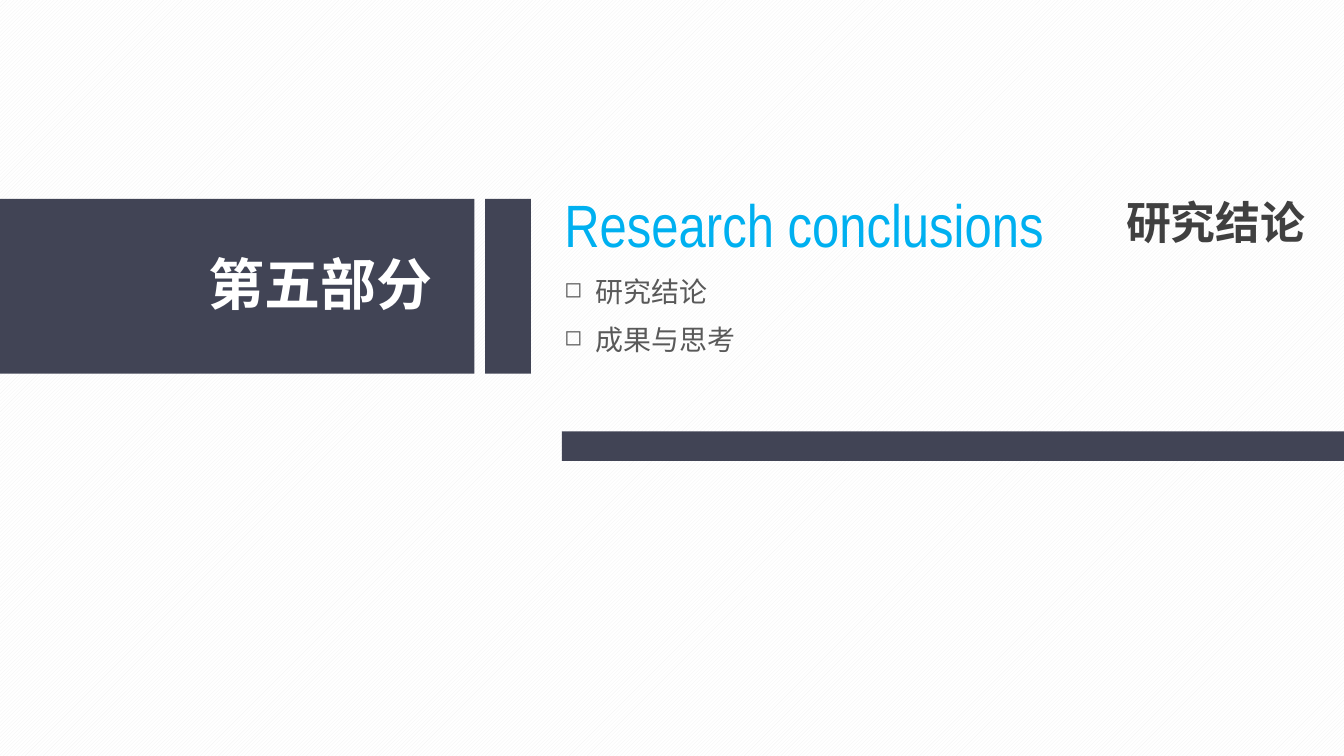
from dataclasses import dataclass

from lxml import etree
from pptx import Presentation
from pptx.dml.color import RGBColor
from pptx.enum.dml import MSO_PATTERN
from pptx.enum.shapes import MSO_SHAPE
from pptx.enum.text import MSO_AUTO_SIZE
from pptx.oxml.ns import qn
from pptx.util import Inches, Pt

RECTANGLE = MSO_SHAPE.RECTANGLE
LIGHT_DIAGONAL = MSO_PATTERN.LIGHT_UPWARD_DIAGONAL
GROW = MSO_AUTO_SIZE.SHAPE_TO_FIT_TEXT


@dataclass(frozen=True)
class Theme:
    slate: str = "414455"
    blue: str = "00B0F0"
    white: str = "FFFFFF"
    heading: str = "404040"
    body: str = "595959"
    stripe: str = "F2F2F2"
    chinese: str = "Noto Sans CJK SC"
    english: str = "Arial Narrow"
    part_size: int = 30
    english_size: int = 32
    heading_size: int = 24
    body_size: int = 15
    bullet_percent: int = 78


THEME = Theme()


def color(value):
    return RGBColor.from_string(value)


def paint_background(page):
    fill = page.background.fill
    fill.patterned()
    fill.pattern = LIGHT_DIAGONAL
    fill.fore_color.rgb = color(THEME.stripe)
    fill.back_color.rgb = color(THEME.white)


def add_bar(page, left, top, width, height):
    bar = page.shapes.add_shape(
        RECTANGLE, Inches(left), Inches(top), Inches(width), Inches(height))
    bar.shadow.inherit = False
    bar.fill.solid()
    bar.fill.fore_color.rgb = color(THEME.slate)
    bar.line.fill.background()


def add_bullet(para, symbol="◻", indent=0.23):
    properties = para._p.get_or_add_pPr()
    properties.set("marL", str(Inches(indent)))
    properties.set("indent", str(-Inches(indent)))
    size = etree.SubElement(properties, qn("a:buSzPct"))
    size.set("val", str(THEME.bullet_percent * 1000))
    etree.SubElement(properties, qn("a:buChar")).set("char", symbol)


def add_text(page, text, left, top, width, height, *, size, fill,
             font=THEME.chinese, bold=False, bullet=False):
    box = page.shapes.add_textbox(
        Inches(left), Inches(top), Inches(width), Inches(height))
    frame = box.text_frame
    frame.word_wrap = False
    frame.auto_size = GROW
    frame.margin_left = frame.margin_right = Inches(0.07)
    frame.margin_top = frame.margin_bottom = Inches(0.04)
    para = frame.paragraphs[0]
    if bullet:
        add_bullet(para)
    span = para.add_run()
    span.text = text
    span.font.size = Pt(size)
    span.font.bold = bold
    span.font.color.rgb = color(fill)
    span.font.name = font
    # East Asian glyphs take their own typeface
    etree.SubElement(span.font._element, qn("a:ea")).set("typeface", font)


def main():
    deck = Presentation()
    # Widescreen, 16 to 9
    deck.slide_width = Inches(10)
    deck.slide_height = deck.slide_width * 9 // 16
    page = deck.slides.add_slide(deck.slide_layouts[6])
    paint_background(page)

    # Part number on its band
    add_bar(page, 0, 1.48, 3.53, 1.3)
    add_text(page, "第五部分", 1.48, 1.82, 1.84, 0.58,
             size=THEME.part_size, fill=THEME.white, bold=True)

    # Topics of this part
    topics = [("研究结论", 1.23), ("成果与思考", 1.44)]
    for row, (topic, width) in enumerate(topics):
        add_text(page, topic, 4.13, 2 + row * 0.36, width, 0.33,
                 size=THEME.body_size, fill=THEME.body, bullet=True)

    # Title in both languages
    add_text(page, "Research conclusions", 4.13, 1.36, 4.27, 0.61,
             size=THEME.english_size, fill=THEME.blue, font=THEME.english)
    add_text(page, "研究结论", 8.31, 1.41, 1.5, 0.48,
             size=THEME.heading_size, fill=THEME.heading, bold=True)

    # Accent bars
    add_bar(page, 4.18, 3.21, 5.82, 0.22)
    add_bar(page, 3.61, 1.48, 0.34, 1.3)

    deck.save("out.pptx")


if __name__ == "__main__":
    main()
